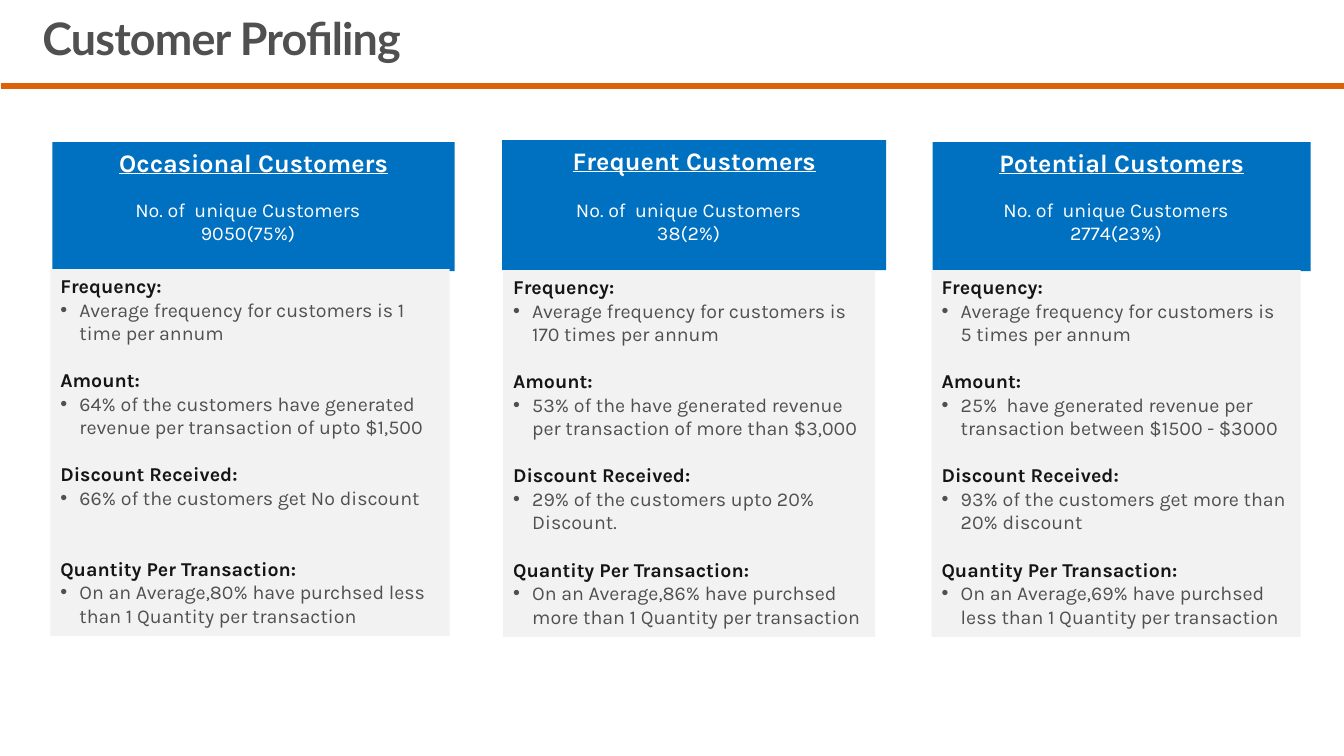
from dataclasses import dataclass

from lxml import etree
from pptx import Presentation
from pptx.dml.color import RGBColor
from pptx.enum.shapes import MSO_CONNECTOR, MSO_SHAPE
from pptx.enum.text import MSO_ANCHOR, MSO_AUTO_SIZE, PP_ALIGN
from pptx.oxml.ns import qn
from pptx.util import Inches, Pt

RECTANGLE = MSO_SHAPE.RECTANGLE
STRAIGHT = MSO_CONNECTOR.STRAIGHT
TOP, MIDDLE = MSO_ANCHOR.TOP, MSO_ANCHOR.MIDDLE
LEFT, CENTER = PP_ALIGN.LEFT, PP_ALIGN.CENTER
NO_AUTOFIT = MSO_AUTO_SIZE.NONE
TITLE_ONLY = 5


@dataclass(frozen=True)
class Theme:
    title_font: str = "Lato"
    body_font: str = "Karla"
    title_size: int = 32
    segment_size: int = 18
    body_size: int = 14
    blank_line: float = 16.8
    orange: str = "DB6207"
    blue: str = "0070C0"
    panel: str = "F2F2F2"
    grey: str = "505050"
    black: str = "151515"
    white: str = "FFFFFF"


THEME = Theme()
TOPICS = ("Frequency:", "Amount:", "Discount Received:", "Quantity Per Transaction:")


@dataclass(frozen=True)
class Segment:
    """One customer group; each box is left, top, width, height in inches."""
    name: str
    count: str
    header_box: tuple
    count_box: tuple
    profile_box: tuple
    findings: tuple
    blank_lines: tuple = (0, 1, 1, 1)


SEGMENTS = (
    Segment(
        "Occasional Customers", "9050(75%)",
        (0.52, 1.41, 3.99, 1.28), (0.76, 1.91, 3.4, 1.04), (0.5, 2.67, 3.96, 3.64),
        ("Average frequency for customers is 1 time per annum",
         "64% of the customers have generated  revenue per transaction of upto $1,500",
         "66% of the customers get No discount",
         "On an Average,80% have purchsed less than 1 Quantity per transaction"),
        (0, 1, 1, 2),
    ),
    Segment(
        "Frequent Customers", "38(2%)",
        (4.98, 1.39, 3.81, 1.29), (5.08, 1.91, 3.5, 1.04), (4.99, 2.68, 3.69, 3.64),
        ("Average frequency for customers is 170 times per annum",
         "53% of the have generated revenue per transaction of more than $3,000",
         "29% of the customers upto 20% Discount.",
         "On an Average,86% have purchsed more than 1 Quantity per transaction"),
    ),
    Segment(
        "Potential Customers", "2774(23%)",
        (9.25, 1.41, 3.75, 1.28), (9.37, 1.91, 3.4, 1.04), (9.24, 2.68, 3.66, 3.64),
        ("Average frequency for customers is 5 times per annum",
         "25%  have generated revenue per transaction between $1500 - $3000",
         "93% of the customers get more than 20% discount",
         "On an Average,69% have purchsed less than 1 Quantity per transaction"),
    ),
)


def inches(box):
    return [Inches(length) for length in box]


def style(paragraph, size, color, bold=False, font=THEME.body_font):
    paragraph.font.name = font
    paragraph.font.size = Pt(size)
    paragraph.font.bold = bold
    paragraph.font.color.rgb = RGBColor.from_string(color)


def add_bullet(paragraph):
    properties = paragraph._p.get_or_add_pPr()
    properties.set("marL", str(Inches(0.19)))
    properties.set("indent", str(-Inches(0.19)))
    etree.SubElement(properties, qn("a:buFont")).set("typeface", "Arial")
    etree.SubElement(properties, qn("a:buChar")).set("char", "•")


def add_panel(slide, box, fill):
    """Add a filled rectangle and return its text frame."""
    panel = slide.shapes.add_shape(RECTANGLE, *inches(box))
    panel.shadow.inherit = False
    panel.fill.solid()
    panel.fill.fore_color.rgb = RGBColor.from_string(fill)
    panel.line.fill.background()
    frame = panel.text_frame
    frame.word_wrap = True
    frame.vertical_anchor = TOP
    return frame


def set_title(slide, text):
    title = slide.shapes.title
    title.left, title.top, title.width, title.height = inches((0, 0, 13.33, 0.71))
    frame = title.text_frame
    frame.auto_size = NO_AUTOFIT
    frame.vertical_anchor = MIDDLE
    frame.margin_left, frame.margin_top = Inches(0.42), Inches(0.17)
    frame.margin_right = frame.margin_bottom = Inches(0.06)
    heading = frame.paragraphs[0]
    heading.alignment = LEFT
    heading.line_spacing = 0.9
    heading_run = heading.add_run()
    heading_run.text = text
    heading_run._r.get_or_add_rPr().set("spc", "-60")
    style(heading, THEME.title_size, THEME.grey, True, THEME.title_font)


def add_rule(slide):
    rule = slide.shapes.add_connector(STRAIGHT, *inches((0.01, 0.85, 13.34, 0.85)))
    rule.line.color.rgb = RGBColor.from_string(THEME.orange)
    rule.line.width = Pt(4.5)
    etree.SubElement(rule._element.spPr, qn("a:effectLst"))


def add_header(slide, segment):
    name = add_panel(slide, segment.header_box, THEME.blue).paragraphs[0]
    name.text = segment.name
    name.alignment = CENTER
    style(name, THEME.segment_size, THEME.white, True)
    name.font.underline = True

    frame = slide.shapes.add_textbox(*inches(segment.count_box)).text_frame
    frame.word_wrap = True
    frame.text = f"No. of  unique Customers\n{segment.count}"
    for paragraph in frame.paragraphs:
        paragraph.alignment = CENTER
        style(paragraph, THEME.body_size, THEME.white)


def add_profile(slide, segment):
    frame = add_panel(slide, segment.profile_box, THEME.panel)
    for topic, finding, blanks in zip(TOPICS, segment.findings, segment.blank_lines):
        heading = frame.add_paragraph() if blanks else frame.paragraphs[0]
        heading.text = topic
        heading.alignment = LEFT
        if blanks:
            heading.space_before = Pt(blanks * THEME.blank_line)
        style(heading, THEME.body_size, THEME.black, True)

        detail = frame.add_paragraph()
        detail.text = finding
        detail.alignment = LEFT
        add_bullet(detail)
        style(detail, THEME.body_size, THEME.grey)


def main():
    deck = Presentation()
    deck.slide_width, deck.slide_height = Inches(13.33), Inches(7.5)
    slide = deck.slides.add_slide(deck.slide_layouts[TITLE_ONLY])
    set_title(slide, "Customer Profiling")
    add_rule(slide)
    for segment in SEGMENTS:
        add_header(slide, segment)
        add_profile(slide, segment)
    deck.save("out.pptx")


if __name__ == "__main__":
    main()
